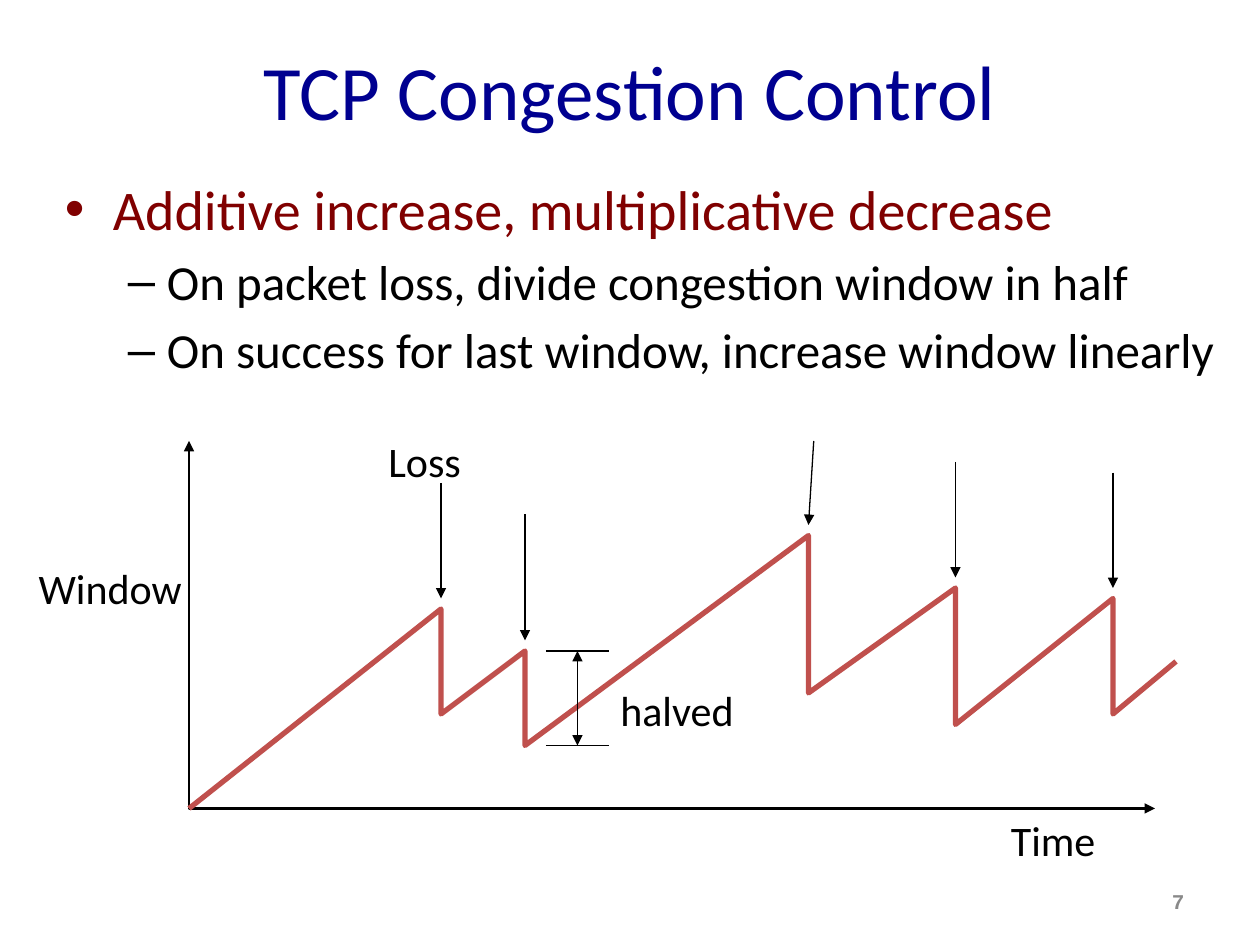
from dataclasses import dataclass
from lxml import etree
from pptx import Presentation
from pptx.dml.color import RGBColor
from pptx.enum.shapes import MSO_CONNECTOR
from pptx.enum.text import MSO_ANCHOR, MSO_AUTO_SIZE, PP_ALIGN
from pptx.oxml.ns import qn
from pptx.util import Inches, Pt

STRAIGHT = MSO_CONNECTOR.STRAIGHT
TOP, MIDDLE = MSO_ANCHOR.TOP, MSO_ANCHOR.MIDDLE
FIT_SHAPE, FIXED = MSO_AUTO_SIZE.SHAPE_TO_FIT_TEXT, MSO_AUTO_SIZE.NONE
LEFT, CENTER, RIGHT = PP_ALIGN.LEFT, PP_ALIGN.CENTER, PP_ALIGN.RIGHT


@dataclass(frozen=True)
class Theme:
    font: str = "Calibri"
    number_font: str = "Courier New"
    navy: str = "000090"
    maroon: str = "800000"
    black: str = "000000"
    red: str = "C0504D"
    gray: str = "898989"
    title: int = 44
    topic: int = 32
    point: int = 28
    label: int = 24
    number: int = 12
    curve: float = 3
    axis: float = 1.5
    thin: float = 0.75


theme = Theme()
COLUMNS, ROWS = 120, 90

deck = Presentation()
deck.slide_width, deck.slide_height = Inches(10), Inches(7.5)
page = deck.slides.add_slide(deck.slide_layouts[6])
cell = deck.slide_width // COLUMNS


def add_text(place, lines, align=LEFT, anchor=TOP, wrap=True, font=theme.font, bold=False):
    box = page.shapes.add_textbox(*[round(cell * units) for units in place])
    frame = box.text_frame
    frame.word_wrap = wrap
    frame.auto_size = FIXED if wrap else FIT_SHAPE
    frame.vertical_anchor = anchor
    for index, (text, size, color, bullet) in enumerate(lines):
        para = frame.paragraphs[0] if index == 0 else frame.add_paragraph()
        para.alignment = align
        if index:
            para.space_before = Pt(size * 0.2)
        if bullet:
            symbol, level, margin, hang = bullet
            para.level = level
            properties = para._p.get_or_add_pPr()
            properties.set("marL", str(Inches(margin)))
            properties.set("indent", str(-Inches(hang)))
            etree.SubElement(properties, qn("a:buFont"), typeface="Arial")
            etree.SubElement(properties, qn("a:buChar"), char=symbol)
        span = para.add_run()
        span.text = text
        span.font.name, span.font.size, span.font.bold = font, Pt(size), bold
        span.font.color.rgb = RGBColor.from_string(color)


def style_line(shape, color, width, ends=()):
    shape.line.color.rgb = RGBColor.from_string(color)
    shape.line.width = Pt(width)
    properties = shape._element.spPr
    outline = properties.find(qn("a:ln"))
    for end in ends:
        etree.SubElement(outline, qn(end), type="triangle")
    etree.SubElement(properties, qn("a:effectLst"))


HEAD, TAIL = "a:headEnd", "a:tailEnd"
topic_bullet = ("•", 0, 0.38, 0.38)
point_bullet = ("–", 1, 0.81, 0.31)

add_text((6, 1, 108, 15), [("TCP Congestion Control", theme.title, theme.navy, None)],
         align=CENTER, anchor=MIDDLE)
add_text((5, 16, 112, 64.5), [
    ("Additive increase, multiplicative decrease", theme.topic, theme.maroon, topic_bullet),
    ("On packet loss, divide congestion window in half", theme.point, theme.black, point_bullet),
    ("On success for last window, increase window linearly", theme.point, theme.black, point_bullet),
])

axes = [(18, 42), (18, 77), (110, 77)]
sawtooth = [(18, 77), (42, 58), (42, 68), (50, 62), (50, 71), (77, 51),
            (77, 66), (91, 56), (91, 69), (106, 57), (106, 68), (112, 63)]
for points, color, width, ends in [
    (axes, theme.black, theme.axis, (HEAD, TAIL)),
    (sawtooth, theme.red, theme.curve, ()),
]:
    builder = page.shapes.build_freeform(*points[0], scale=cell)
    builder.add_line_segments(points[1:], close=False)
    outline_shape = builder.convert_to_shape()
    outline_shape.fill.background()
    style_line(outline_shape, color, width, ends)

loss_starts = [(42, 46), (50, 49), (77.5, 42), (91, 44), (106, 45)]
peaks = sawtooth[1:-1:2]
lines = [
    ((52, 71), (58, 71), ()),
    ((52, 62), (58, 62), ()),
    ((55, 62), (55, 71), (HEAD, TAIL)),
]
lines += [(start, (column, row - 1), (TAIL,))
          for start, (column, row) in zip(loss_starts, peaks)]
for start, stop, ends in lines:
    connector = page.shapes.add_connector(
        STRAIGHT, *[round(cell * units) for units in start + stop])
    style_line(connector, theme.black, theme.thin, ends)

for text, column, row, width, align in [
    ("Window", 2.5, 53, 16.2, LEFT),
    ("halved", 57.9, 64.6, 13.7, LEFT),
    ("Loss", 35.8, 40.9, 9.5, LEFT),
    ("Time", 95, 77, 10.6, CENTER),
]:
    add_text((column, row, width, 6.1), [(text, theme.label, theme.black, None)],
             align=align, wrap=False)

add_text((86, 83.4, 28, 4.8), [("7", theme.number, theme.gray, None)],
         align=RIGHT, anchor=MIDDLE, font=theme.number_font, bold=True)

deck.save("out.pptx")
